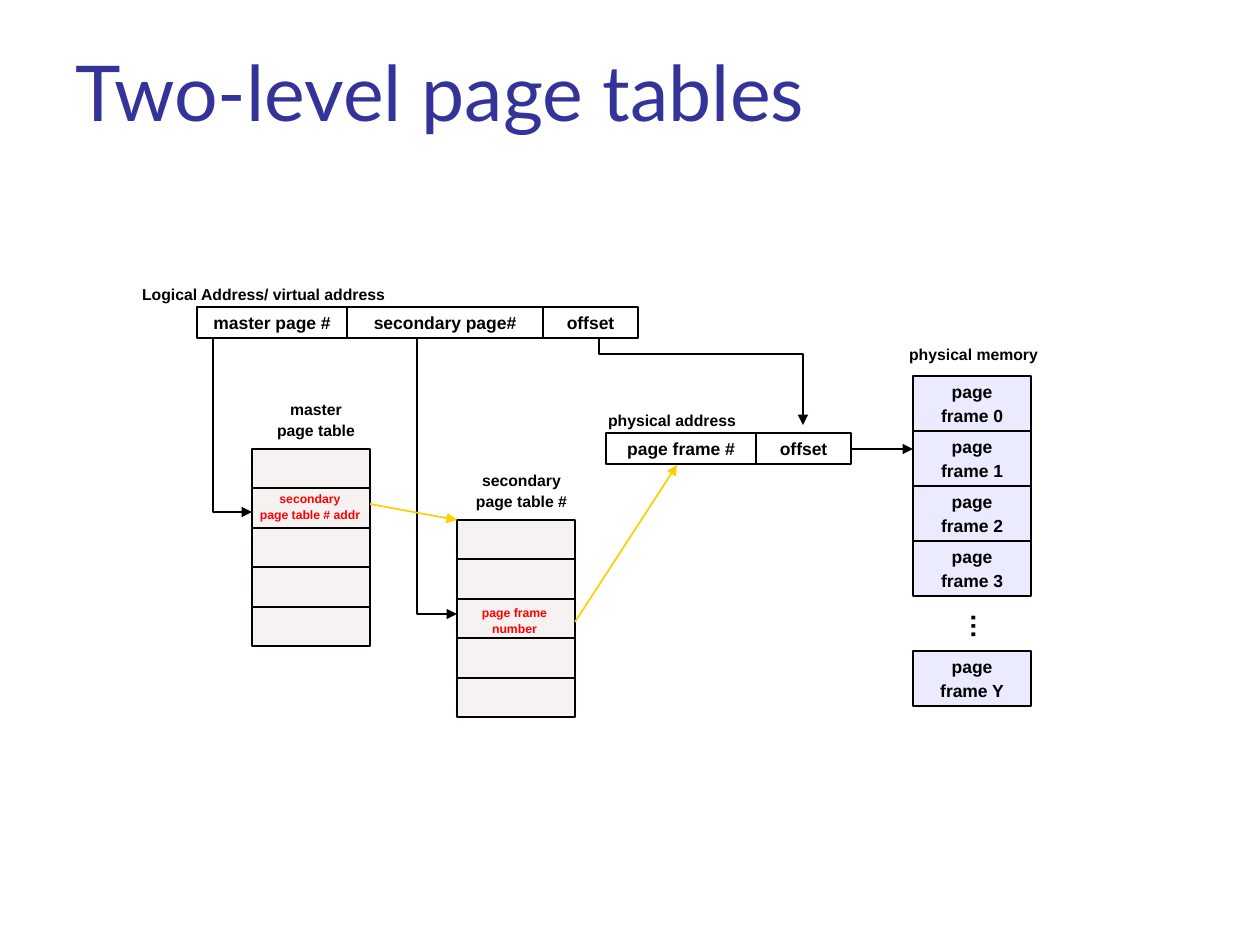
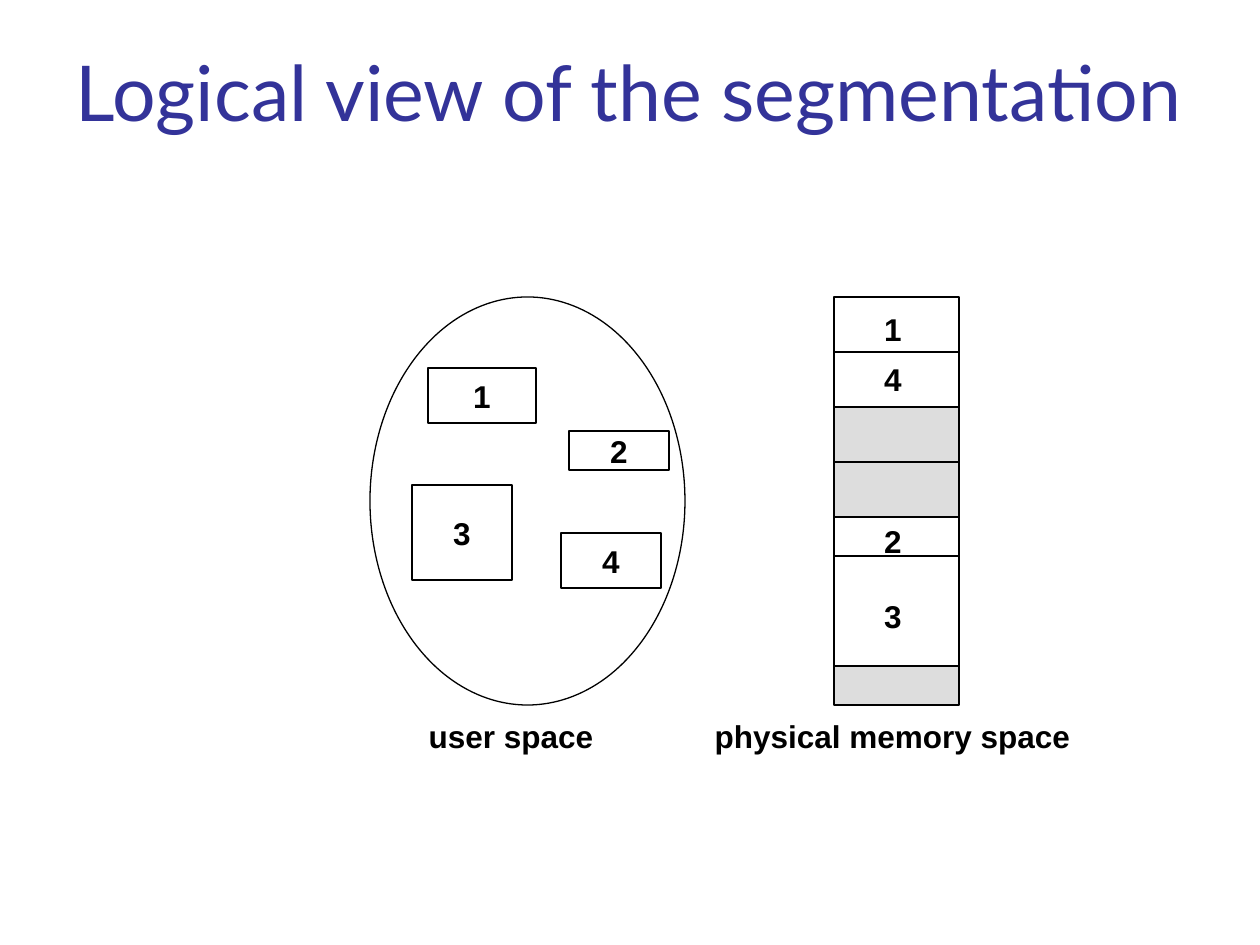
from dataclasses import dataclass
from typing import Optional

from lxml.etree import SubElement
from pptx import Presentation
from pptx.dml.color import RGBColor
from pptx.enum.shapes import MSO_CONNECTOR, MSO_SHAPE
from pptx.enum.text import MSO_ANCHOR, MSO_AUTO_SIZE, PP_ALIGN
from pptx.oxml.ns import qn
from pptx.util import Emu, Pt

EMU_PER_PIXEL = 914400 / 126
TITLE_FONT, BODY_FONT = "Lato", "Arial"
TITLE_BLUE, BLACK, WHITE = "333399", "000000", "FFFFFF"
FRAME_LILAC, TABLE_GREY, FREE_GREY = "EBEBFF", "F6F2F2", "DDDDDD"
ENTRY_RED, LOOKUP_YELLOW = "FF0000", "FFCF01"


@dataclass
class Label:
    left: int
    top: int
    width: int
    height: int
    text: str
    size: int = 9
    color: str = BLACK
    rotation: int = 0
    anchor: MSO_ANCHOR = MSO_ANCHOR.TOP


@dataclass
class Box:
    left: int
    top: int
    width: int
    height: int
    text: str = ""
    fill: Optional[str] = None
    size: int = 10
    line_width: float = 1
    preset: MSO_SHAPE = MSO_SHAPE.RECTANGLE


@dataclass
class Route:
    points: list[tuple[int, int]]
    color: str = BLACK
    line_width: float = 1
    arrow: bool = True


@dataclass
class MemoryBlock:
    top: int
    height: int
    fill: str
    divider: Optional[int] = None


def px(length: float) -> Emu:
    return Emu(round(length * EMU_PER_PIXEL))


def rgb(color: str) -> RGBColor:
    return RGBColor.from_string(color)


def write_text(frame, text: str, size: int, color: str, anchor: MSO_ANCHOR) -> None:
    frame.word_wrap = False
    frame.vertical_anchor = anchor
    for index, line in enumerate(text.split("\n")):
        paragraph = frame.paragraphs[0] if index == 0 else frame.add_paragraph()
        paragraph.alignment = PP_ALIGN.CENTER
        if index:
            paragraph.space_before = Pt(round(size * 0.12, 1))
        run = paragraph.add_run()
        run.text = line
        run.font.name = BODY_FONT
        run.font.size = Pt(size)
        run.font.bold = True
        run.font.color.rgb = rgb(color)


def add_label(slide, label: Label) -> None:
    shape = slide.shapes.add_textbox(
        px(label.left), px(label.top), px(label.width), px(label.height)
    )
    shape.rotation = label.rotation
    write_text(shape.text_frame, label.text, label.size, label.color, label.anchor)


def add_box(slide, box: Box) -> None:
    shape = slide.shapes.add_shape(
        box.preset, px(box.left), px(box.top), px(box.width), px(box.height)
    )
    shape.shadow.inherit = False
    if box.fill:
        shape.fill.solid()
        shape.fill.fore_color.rgb = rgb(box.fill)
    else:
        shape.fill.background()
    shape.line.color.rgb = rgb(BLACK)
    shape.line.width = Pt(box.line_width)
    if box.text:
        write_text(shape.text_frame, box.text, box.size, BLACK, MSO_ANCHOR.MIDDLE)


def add_route(slide, route: Route) -> None:
    start, *rest = [(px(x), px(y)) for x, y in route.points]
    if len(rest) == 1:
        shape = slide.shapes.add_connector(MSO_CONNECTOR.STRAIGHT, *start, *rest[0])
        SubElement(shape.element.spPr, qn("a:effectLst"))
    else:
        builder = slide.shapes.build_freeform(*start)
        builder.add_line_segments(rest, close=False)
        shape = builder.convert_to_shape()
        shape.shadow.inherit = False
        shape.fill.background()
    shape.line.color.rgb = rgb(route.color)
    shape.line.width = Pt(route.line_width)
    if route.arrow:
        line = shape.element.spPr.find(qn("a:ln"))
        SubElement(line, qn("a:tailEnd"), type="triangle")


def add_titled_slide(presentation, text: str):
    slide = presentation.slides.add_slide(presentation.slide_layouts[5])
    title = slide.shapes.title
    title.left, title.top, title.width, title.height = px(63), px(38), px(1134), px(158)
    frame = title.text_frame
    frame.auto_size = MSO_AUTO_SIZE.NONE
    frame.vertical_anchor = MSO_ANCHOR.TOP
    paragraph = frame.paragraphs[0]
    paragraph.alignment = PP_ALIGN.LEFT
    run = paragraph.add_run()
    run.text = text
    run.font.name = TITLE_FONT
    run.font.size = Pt(44)
    run.font.color.rgb = rgb(TITLE_BLUE)
    return slide


def add_page_table(slide, left: int, top: int) -> None:
    edges = [top + round(row * 197 / 5) for row in range(6)]
    for upper, lower in zip(edges, edges[1:]):
        add_box(slide, Box(left, upper, 118, lower - upper, fill=TABLE_GREY))


def add_address(slide, left: int, top: int, fields: list[tuple[str, int]]) -> None:
    for text, width in fields:
        add_box(slide, Box(left, top, width, 31, text))
        left += width


def build_page_tables(presentation) -> None:
    slide = add_titled_slide(presentation, "Two-level page tables")
    frame_tops = [376 + 55 * slot for slot in range(4)] + [651]
    for name, top in zip("0123Y", frame_tops):
        add_box(slide, Box(913, top, 118, 55, f"page\nframe {name}", FRAME_LILAC))
    add_address(
        slide, 197, 307,
        [("master page #", 150), ("secondary page#", 196), ("offset", 95)],
    )
    add_address(slide, 606, 433, [("page frame #", 150), ("offset", 95)])
    add_page_table(slide, 252, 449)
    add_page_table(slide, 457, 520)
    labels = [
        Label(892, 339, 163, 32, "physical memory"),
        Label(591, 405, 162, 32, "physical address"),
        Label(125, 279, 277, 32, "Logical Address/ virtual address"),
        Label(260, 394, 112, 53, "master\npage table"),
        Label(459, 465, 125, 53, "secondary\npage table #"),
        Label(242, 485, 136, 44, "secondary\npage table # addr", 7, ENTRY_RED),
        Label(465, 599, 99, 44, "page frame\nnumber", 7, ENTRY_RED),
        Label(939, 604, 52, 44, "…", 15, rotation=270),
    ]
    for label in labels:
        add_label(slide, label)
    routes = [
        Route([(213, 339), (213, 512), (252, 512)]),
        Route([(417, 339), (417, 614), (457, 614)]),
        Route([(599, 339), (599, 354), (803, 354), (803, 425)]),
        Route([(851, 449), (913, 449)]),
        Route([(370, 504), (457, 520)], LOOKUP_YELLOW),
        Route([(575, 622), (677, 465)], LOOKUP_YELLOW),
    ]
    for route in routes:
        add_route(slide, route)


def build_segmentation(presentation) -> None:
    slide = add_titled_slide(presentation, "Logical view of the segmentation")
    thin = 0.75
    add_box(
        slide,
        Box(370, 297, 315, 408, fill=WHITE, line_width=thin, preset=MSO_SHAPE.OVAL),
    )
    segments = [
        ("1", 428, 368, 108, 55),
        ("2", 569, 431, 100, 39),
        ("3", 412, 485, 100, 95),
        ("4", 561, 533, 100, 55),
    ]
    for name, *bounds in segments:
        add_box(slide, Box(*bounds, name, WHITE, 18, thin))

    memory_left, memory_width = 834, 125
    blocks = [
        MemoryBlock(297, 110, WHITE, 352),
        MemoryBlock(407, 110, FREE_GREY, 462),
        MemoryBlock(517, 149, WHITE, 556),
        MemoryBlock(666, 39, FREE_GREY),
    ]
    for block in blocks:
        add_box(
            slide,
            Box(memory_left, block.top, memory_width, block.height,
                fill=block.fill, line_width=thin),
        )
        if block.divider:
            ends = [(memory_left + shift, block.divider) for shift in (0, memory_width)]
            add_route(slide, Route(ends, line_width=thin, arrow=False))

    labels = [
        ("1", 868, 304, 50),
        ("4", 868, 354, 50),
        ("2", 868, 516, 50),
        ("3", 868, 591, 50),
        ("user space", 406, 711, 210),
        ("physical memory space", 696, 711, 393),
    ]
    for text, left, top, width in labels:
        add_label(
            slide, Label(left, top, width, 50, text, 18, anchor=MSO_ANCHOR.MIDDLE)
        )


def main() -> None:
    presentation = Presentation()
    presentation.slide_width, presentation.slide_height = px(1260), px(945)
    build_page_tables(presentation)
    build_segmentation(presentation)
    presentation.save("out.pptx")


if __name__ == "__main__":
    main()
